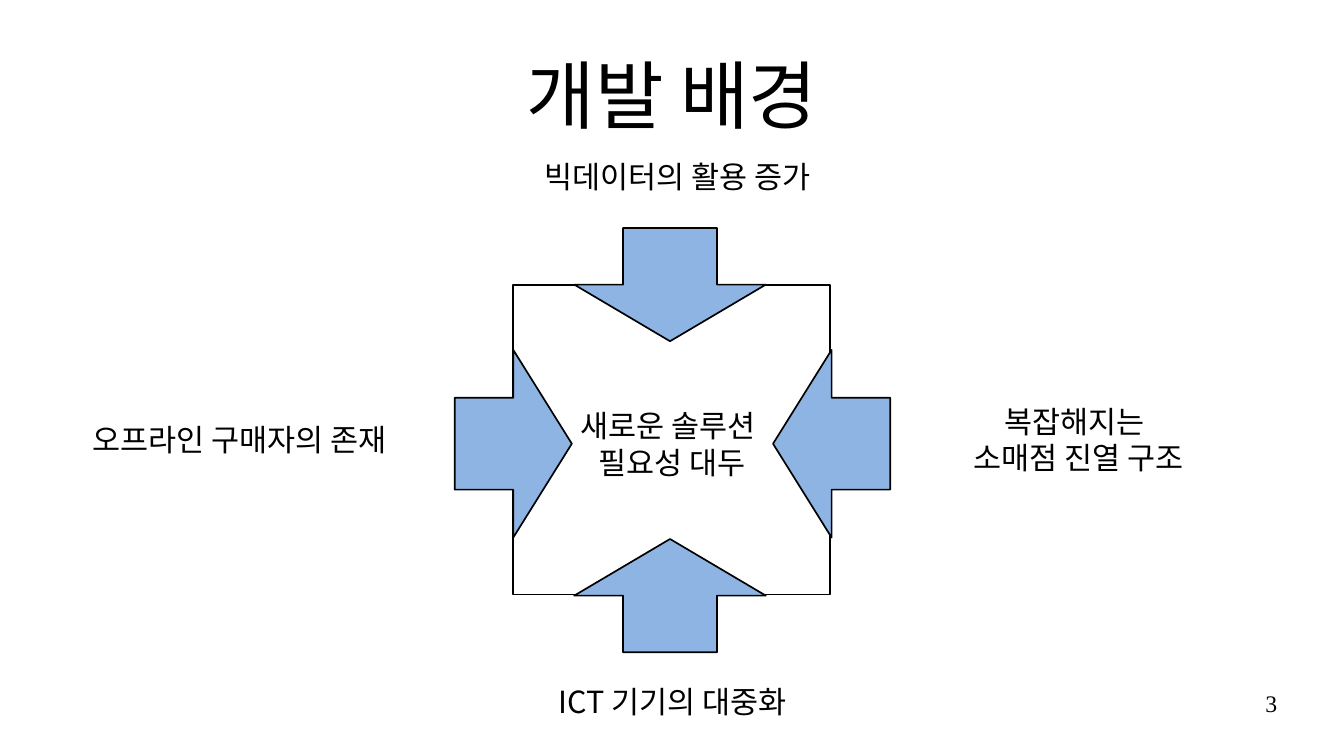
"""Builds the development background slide with four arrows pointing at a central need."""
from lxml import etree
from pptx import Presentation
from pptx.dml.color import RGBColor
from pptx.enum.shapes import MSO_SHAPE
from pptx.enum.text import MSO_ANCHOR, MSO_AUTO_SIZE, PP_ALIGN
from pptx.oxml.ns import qn
from pptx.util import Cm, Pt

BLACK = RGBColor(0x00, 0x00, 0x00)
WHITE = RGBColor(0xFF, 0xFF, 0xFF)
BLUE = RGBColor(0x8E, 0xB4, 0xE3)
KOREAN = "Noto Sans CJK KR"


def write(shape, box, text, size=18, font=KOREAN, align=PP_ALIGN.CENTER, anchor=MSO_ANCHOR.MIDDLE):
    shape.left, shape.top, shape.width, shape.height = map(Cm, box)
    frame = shape.text_frame
    frame.text = text
    frame.word_wrap = True
    frame.auto_size = MSO_AUTO_SIZE.NONE
    frame.vertical_anchor = anchor
    frame.margin_left = frame.margin_right = frame.margin_top = frame.margin_bottom = 0
    for paragraph in frame.paragraphs:
        paragraph.alignment = align
        for run in paragraph.runs:
            run.font.size = Pt(size)
            run.font.color.rgb = BLACK
            run.font.name = font
            etree.SubElement(run.font._element, qn("a:ea"), typeface=font)


def draw(kind, box, fill):
    shape = slide.shapes.add_shape(kind, *map(Cm, box))
    shape.shadow.inherit = False
    shape.fill.solid()
    shape.fill.fore_color.rgb = fill
    shape.line.color.rgb = BLACK
    shape.line.width = Pt(1)
    return shape


prs = Presentation()
prs.slide_width, prs.slide_height = Cm(27.99), Cm(15.75)
slide = prs.slides.add_slide(prs.slide_layouts[5])

write(slide.shapes.title, (1.4, 0.64, 25.2, 2.64), "개발 배경", size=44)

draw(MSO_SHAPE.RECTANGLE, (10.69, 5.94, 6.6, 6.45), WHITE)

arrows = [
    (MSO_SHAPE.RIGHT_ARROW, (9.47, 7.29, 2.44, 3.91)),
    (MSO_SHAPE.LEFT_ARROW, (16.1, 7.29, 2.44, 3.91)),
    (MSO_SHAPE.DOWN_ARROW, (11.96, 4.75, 3.99, 2.36)),
    (MSO_SHAPE.UP_ARROW, (11.96, 11.23, 3.99, 2.36)),
]
for kind, box in arrows:
    arrow = draw(kind, box, BLUE)
    arrow.adjustments[0] = 0.49
    arrow.adjustments[1] = 0.5

labels = [
    ("빅데이터의 활용 증가", (10.67, 3.25, 6.88, 0.81), MSO_ANCHOR.BOTTOM),
    ("오프라인 구매자의 존재", (1.55, 8.84, 6.88, 0.64), MSO_ANCHOR.MIDDLE),
    ("새로운 솔루션\v 필요성 대두", (11.33, 8.84, 5.18, 0.81), MSO_ANCHOR.MIDDLE),
    ("복잡해지는 \v소매점 진열 구조", (19.28, 8.2, 6.35, 1.9), MSO_ANCHOR.MIDDLE),
    ("ICT 기기의 대중화", (11, 14.27, 6.02, 0.69), MSO_ANCHOR.MIDDLE),
]
for text, box, anchor in labels:
    write(slide.shapes.add_textbox(0, 0, 0, 0), box, text, anchor=anchor)

page_number = slide.shapes.add_textbox(0, 0, 0, 0)
write(page_number, (20.07, 14.35, 6.53, 1.09), "3", size=14, font="Times New Roman",
      align=PP_ALIGN.RIGHT, anchor=MSO_ANCHOR.TOP)

prs.save("out.pptx")
